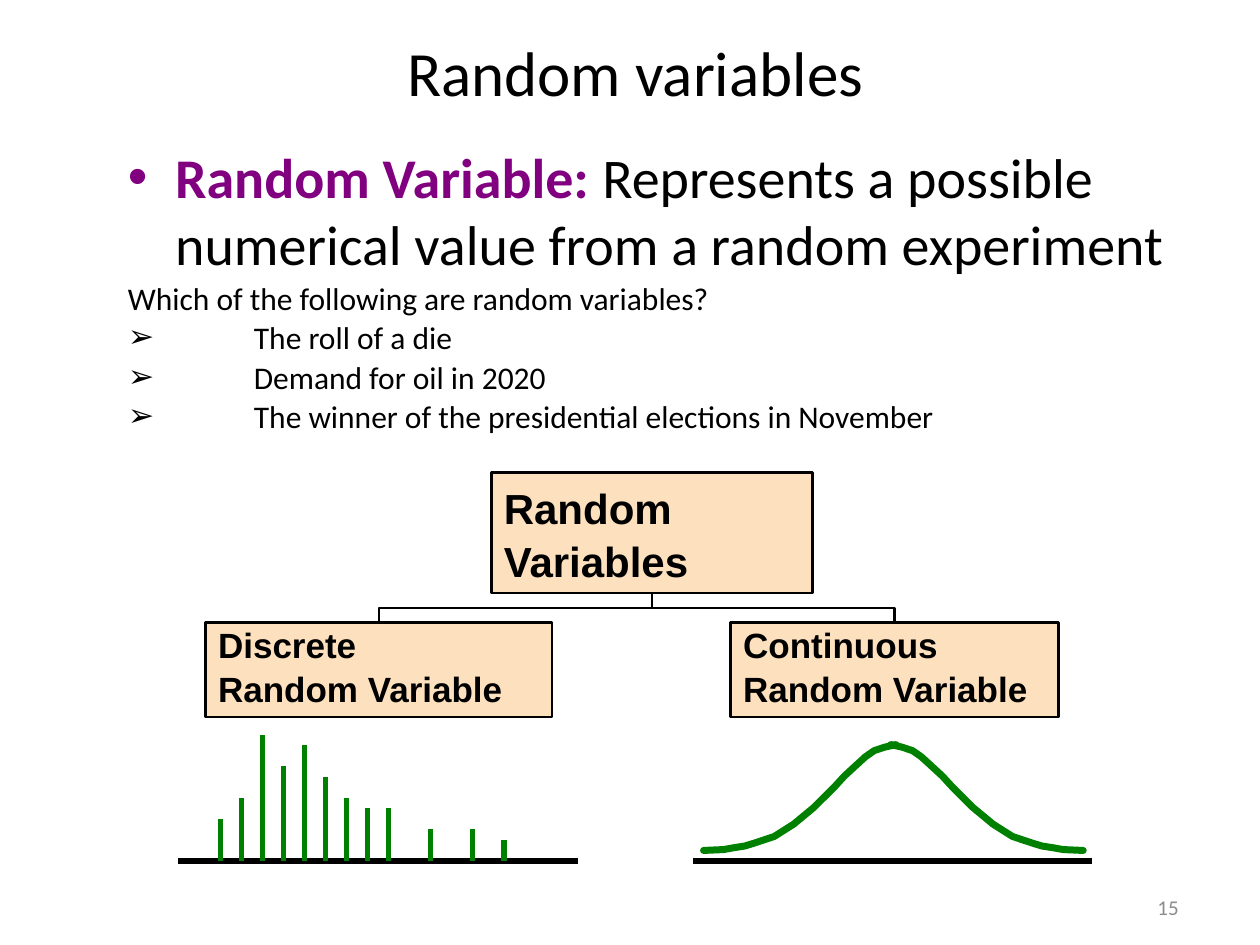
"""Build the random variables slide."""
from pptx import Presentation
from pptx.dml.color import RGBColor
from pptx.enum.shapes import MSO_CONNECTOR as CONN, MSO_SHAPE as SHAPE
from pptx.enum.text import MSO_ANCHOR as ANCHOR, PP_ALIGN as ALIGN
from pptx.oxml.ns import qn
from pptx.util import Pt
from lxml import etree

BLACK = RGBColor(0x00, 0x00, 0x00)
PURPLE = RGBColor(0x80, 0x00, 0x80)
GREEN = RGBColor(0x00, 0x80, 0x00)
PEACH = RGBColor(0xFD, 0xE0, 0xBD)
GRAY = RGBColor(0x8C, 0x8C, 0x8C)
SILVER = RGBColor(0xCD, 0xCD, 0xCD)

TITLE = "Random variables"
TERM = "Random Variable: "
DEFINITION = "Represents a possible numerical value from a random experiment"
QUESTION = "Which of the following are random variables?"
CANDIDATES = [
    "The roll of a die",
    "Demand for oil in 2020",
    "The winner of the presidential elections in November",
]
PAGE = "15"
BOXES = [
    (("Random ", "Variables"), (280.8, 270, 183.6, 69), 24, 1.0),
    (("Discrete ", "Random Variable"), (117.5, 355.7, 198, 54), 20, 0.8),
    (("Continuous", "Random Variable"), (417.6, 355.7, 187.2, 54), 20, 0.8),
]
BASELINE = 492
AXES = [(102, 330.5), (396, 624)]
SPECK = (304.5, 342.5)
STEMS = [(126, 24), (138, 36), (150, 72), (162, 54), (174, 66), (186, 48),
         (198, 36), (210, 30), (222, 30), (246, 18), (270, 18), (288, 12)]
HALF_BELL = [(402, 486), (413.5, 485.5), (419, 484.5), (425.5, 483.5),
             (430.5, 482), (436.5, 480), (442.5, 478), (453.5, 471),
             (465, 461.5), (477, 449.5), (482.5, 443.5), (489, 437.5),
             (494.5, 432.5), (499.5, 429), (505.5, 427), (512, 425.5)]
BELL_CENTER = 510.5


def add_text(p, text, size, color=BLACK, bold=False, font="Calibri", before=0,
             spacing=None, align=None):
    r = p.add_run()
    r.text = text
    r.font.name, r.font.size, r.font.bold = font, Pt(size), bold
    r.font.color.rgb = color
    p.space_before = Pt(before)
    if spacing:
        p.line_spacing = spacing
    if align is not None:
        p.alignment = align
    return r


def set_bullet(p, char=None):
    pPr = p._p.get_or_add_pPr()
    pPr.set("marL", str(Pt(27)))
    pPr.set("indent", str(Pt(-27)))
    pPr.set("defTabSz", str(Pt(72)))
    if char:
        etree.SubElement(pPr, qn("a:buFont")).set("typeface", "Arial")
        etree.SubElement(pPr, qn("a:buChar")).set("char", char)
    else:
        etree.SubElement(pPr, qn("a:buNone"))


def add_line(x1, y1, x2, y2, color=BLACK, width=3, kind=CONN.STRAIGHT):
    s = slide.shapes.add_connector(kind, Pt(x1), Pt(y1), Pt(x2), Pt(y2))
    s.line.color.rgb, s.line.width = color, Pt(width)
    etree.SubElement(s._element.spPr, qn("a:effectLst"))
    return s


def add_branch(x1, y1, x2, y2):
    cx, cy = (x1 + x2) / 2, (y1 + y2) / 2
    drop, span = (y2 - y1) / 2, abs(x2 - x1) / 2
    side = -1 if x2 > x1 else 1
    s = add_line(cx - side * drop, cy - span, cx + side * drop, cy + span,
                 width=1.5, kind=CONN.ELBOW)
    s._element.spPr.find(qn("a:xfrm")).set("rot", str((180 - side * 90) * 60000))


def add_curve(points):
    builder = slide.shapes.build_freeform(Pt(points[0][0]), Pt(points[0][1]))
    builder.add_line_segments([(Pt(x), Pt(y)) for x, y in points[1:]], close=False)
    s = builder.convert_to_shape()
    s.shadow.inherit = False
    s.fill.background()
    s.line.color.rgb, s.line.width = GREEN, Pt(4)
    ln = s._element.spPr.find(qn("a:ln"))
    ln.set("cap", "rnd")
    etree.SubElement(ln, qn("a:round"))


def add_box(lines, place, size, spacing):
    s = slide.shapes.add_shape(SHAPE.RECTANGLE, *map(Pt, place))
    s.shadow.inherit = False
    s.fill.solid()
    s.fill.fore_color.rgb = PEACH
    s.line.color.rgb, s.line.width = BLACK, Pt(1.5)
    tf = s.text_frame
    tf.word_wrap, tf.vertical_anchor = True, ANCHOR.MIDDLE
    for p, text, ls in zip((tf.paragraphs[0], tf.add_paragraph()), lines, (spacing, 0.6)):
        add_text(p, text, size, bold=True, font="Arial", before=size / 2,
                 spacing=ls, align=ALIGN.LEFT)


def add_frame(left, top, width, height):
    tf = slide.shapes.add_textbox(Pt(left), Pt(top), Pt(width), Pt(height)).text_frame
    tf.word_wrap = True
    return tf


prs = Presentation()
prs.slide_width, prs.slide_height = Pt(720), Pt(540)
slide = prs.slides.add_slide(prs.slide_layouts[5])

title = slide.shapes.title
title.left, title.top, title.width, title.height = Pt(6), Pt(12), Pt(714), Pt(66)
title.text_frame.vertical_anchor = ANCHOR.MIDDLE
add_text(title.text_frame.paragraphs[0], TITLE, 36, spacing=0.8, align=ALIGN.CENTER)

body = add_frame(66, 78, 636, 168)
p = body.paragraphs[0]
add_text(p, TERM, 32, color=PURPLE, bold=True)
add_text(p, DEFINITION, 32, before=6.4)
set_bullet(p, "•")
for text, char in [(QUESTION, None)] + [("\t" + c, "➢") for c in CANDIDATES]:
    p = body.add_paragraph()
    add_text(p, text, 18, before=0.9)
    set_bullet(p, char)

for box in BOXES:
    add_box(*box)
(left, top, width, height), *children = [place for _, place, _, _ in BOXES]
for x, y, w, _ in children:
    add_branch(left + width / 2, top + height, x + w / 2, y)

add_line(*SPECK, *SPECK, color=SILVER, width=2)
for x1, x2 in AXES:
    add_line(x1, BASELINE, x2, BASELINE)
for x, height in STEMS:
    add_line(x, BASELINE - height, x, BASELINE, color=GREEN)
add_curve(HALF_BELL)
add_curve([(2 * BELL_CENTER - x, y) for x, y in HALF_BELL])

page = add_frame(512.6, 504, 168, 28.8)
page.vertical_anchor = ANCHOR.MIDDLE
add_text(page.paragraphs[0], PAGE, 12, color=GRAY, align=ALIGN.RIGHT)

prs.save("out.pptx")
